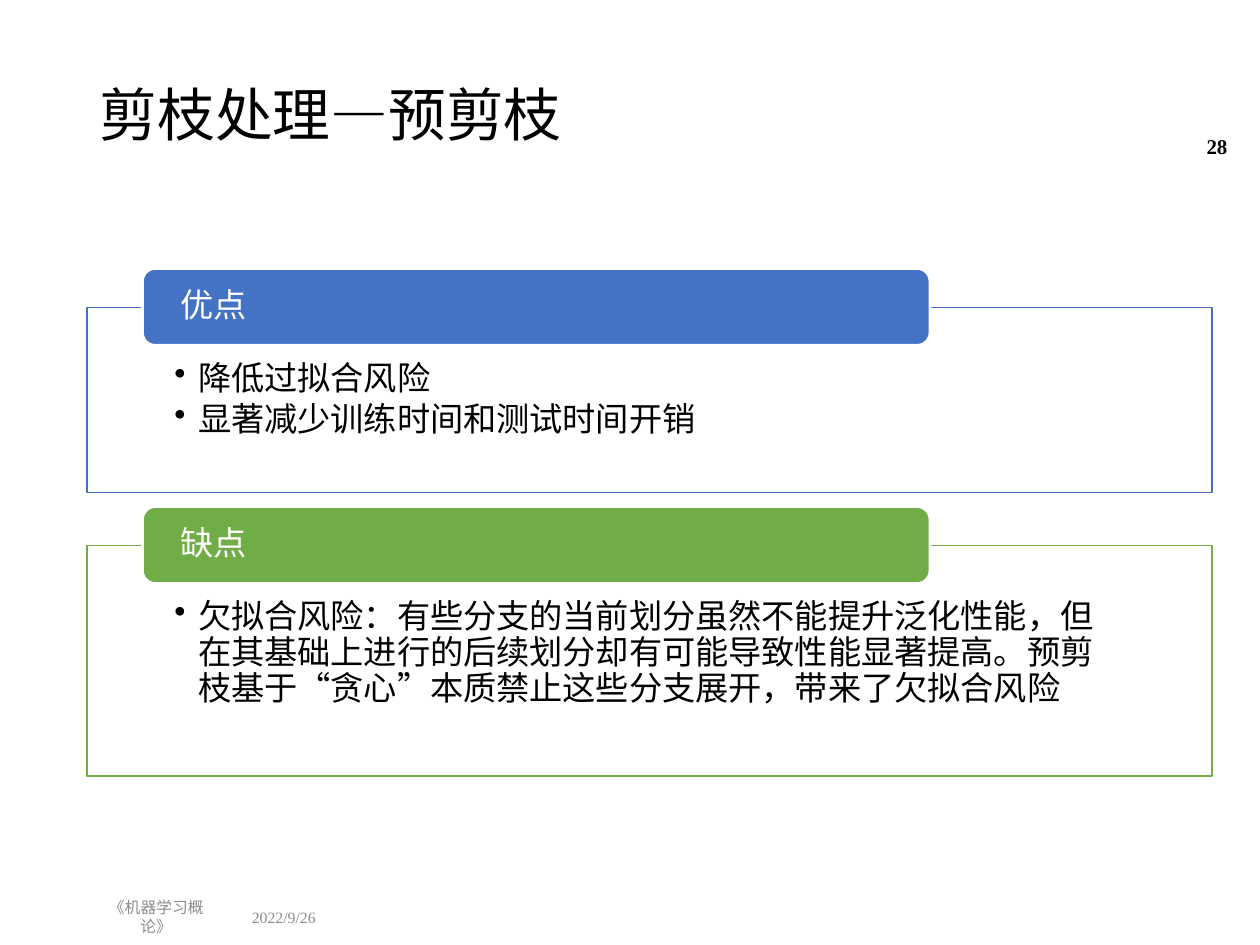
from pptx import Presentation
from pptx.dml.color import RGBColor
from pptx.enum import lang, shapes, text
from pptx.oxml import parse_xml
from pptx.oxml.ns import nsdecls
from pptx.util import Pt

BLACK = RGBColor(0, 0, 0)
WHITE = RGBColor(255, 255, 255)
GREY = RGBColor(0x8C, 0x8C, 0x8C)
BLUE = RGBColor(0x44, 0x72, 0xC4)
GREEN = RGBColor(0x70, 0xAD, 0x47)

FONT = "Times New Roman"
LEFT = 49.7
PANEL_WIDTH = 643
TAB_LEFT, TAB_WIDTH, TAB_HEIGHT = 81.4, 450, 43.9
TAB_RISE = 22.3  # how far a heading tab stands above its panel

# Heading, colour, panel top, panel height, points
SECTIONS = [
    ("优点", BLUE, 175.7, 105.8,
     ["降低过拟合风险", "显著减少训练时间和测试时间开销"]),
    ("缺点", GREEN, 311.8, 131.8,
     ["欠拟合风险：有些分支的当前划分虽然不能提升泛化性能，但在其基础上进行的"
      "后续划分却有可能导致性能显著提高。预剪枝基于“贪心”本质禁止这些分支展开，"
      "带来了欠拟合风险"]),
]


def set_all(target, values):
    for name, value in values.items():
        setattr(target, name, value)


def add_bullet(para):
    properties = para._p.get_or_add_pPr()
    properties.set("marL", str(Pt(13.5)))
    properties.set("indent", str(-Pt(13.5)))
    properties.append(parse_xml(f'<a:buChar {nsdecls("a")} char="•"/>'))


def write(box, lines, size, color, insets=(7.2, 3.6, 7.2, 3.6), bold=False,
          bullet=False, anchor=text.MSO_ANCHOR.MIDDLE, **para_format):
    frame = box.text_frame
    sides = ("margin_left", "margin_top", "margin_right", "margin_bottom")
    set_all(frame, dict(zip(sides, map(Pt, insets))))
    set_all(frame, {"word_wrap": True, "vertical_anchor": anchor})
    for index, line in enumerate(lines):
        para = frame.add_paragraph() if index else frame.paragraphs[0]
        if bullet:
            add_bullet(para)
        set_all(para, {"alignment": text.PP_ALIGN.LEFT, **para_format})
        span = para.add_run()
        span.text = line
        set_all(span.font, {
            "name": FONT, "size": Pt(size), "bold": bold,
            "language_id": lang.MSO_LANGUAGE_ID.SIMPLIFIED_CHINESE})
        span.font.color.rgb = color


def add_label(page, content, place, size=9, color=GREY, **style):
    box = page.shapes.add_textbox(*map(Pt, place))
    write(box, [content], size, color, **style)


def add_block(page, kind, place, fill, line, line_width):
    block = page.shapes.add_shape(kind, *map(Pt, place))
    block.shadow.inherit = False
    block.fill.solid()
    block.fill.fore_color.rgb = fill
    block.line.color.rgb = line
    block.line.width = Pt(line_width)
    return block


def add_section(page, heading, color, top, height, points):
    # Outlined panel with bullets
    panel = add_block(page, shapes.MSO_SHAPE.RECTANGLE,
                      (LEFT, top, PANEL_WIDTH, height), WHITE, color, 1)
    write(panel, points, 19, BLACK, insets=(50, 31, 50, 11), bullet=True,
          anchor=text.MSO_ANCHOR.TOP, line_spacing=0.9, space_after=Pt(3))
    # Heading tab over the panel's top edge
    tab = add_block(page, shapes.MSO_SHAPE.ROUNDED_RECTANGLE,
                    (TAB_LEFT, top - TAB_RISE, TAB_WIDTH, TAB_HEIGHT),
                    color, WHITE, 1.5)
    write(tab, [heading], 19, WHITE, insets=(19.4, 2, 19.4, 2),
          line_spacing=0.9)


def main():
    deck = Presentation()
    set_all(deck, {"slide_width": Pt(720), "slide_height": Pt(540)})
    page = deck.slides.add_slide(deck.slide_layouts[5])

    # Title
    title = page.shapes.title
    set_all(title, {"left": Pt(LEFT), "top": Pt(28.8),
                    "width": Pt(620.6), "height": Pt(77)})
    write(title, ["剪枝处理—预剪枝"], 33, BLACK, line_spacing=0.9)

    # Date, course name and page number
    add_label(page, "2022/9/26", (136.8, 513.4, 65.5, 20.9))
    add_label(page, "《机器学习概论》", (LEFT, 513.4, 79.2, 20.9),
              alignment=text.PP_ALIGN.CENTER)
    add_label(page, "28", (658.8, 69.1, 49.7, 28.8), 12, BLACK, bold=True,
              alignment=text.PP_ALIGN.RIGHT)

    # Advantages and drawbacks
    for section in SECTIONS:
        add_section(page, *section)

    deck.save("out.pptx")


if __name__ == "__main__":
    main()
